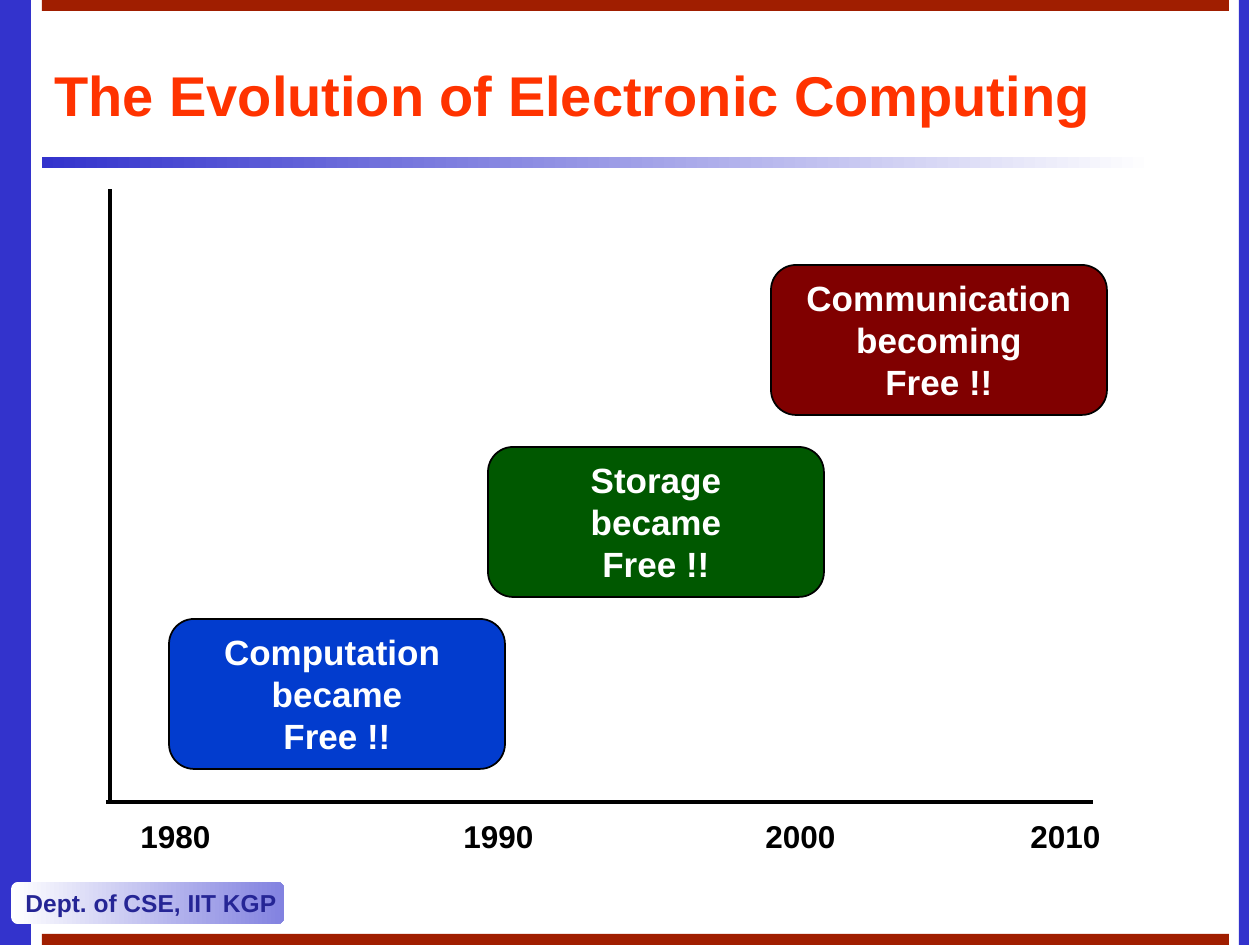
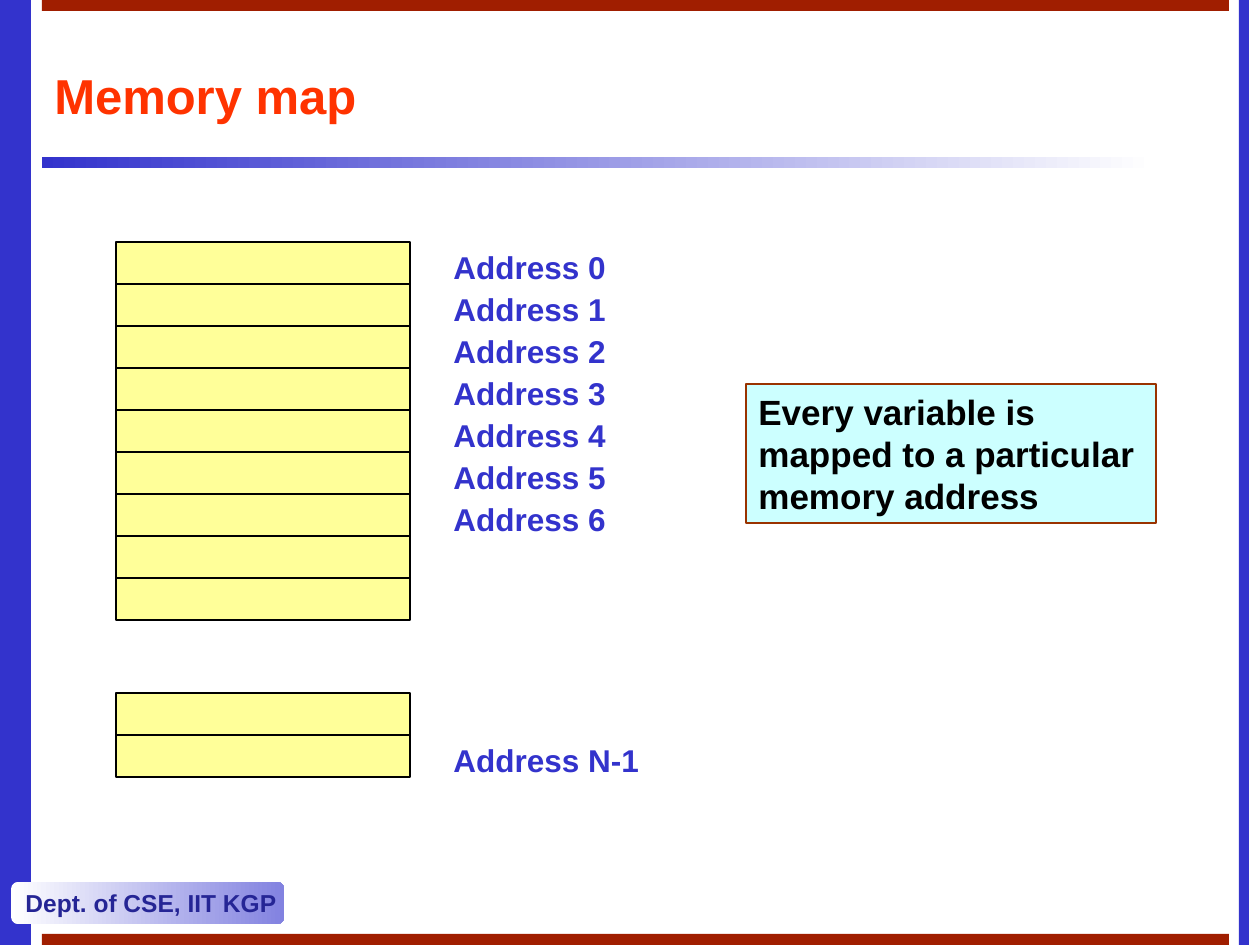
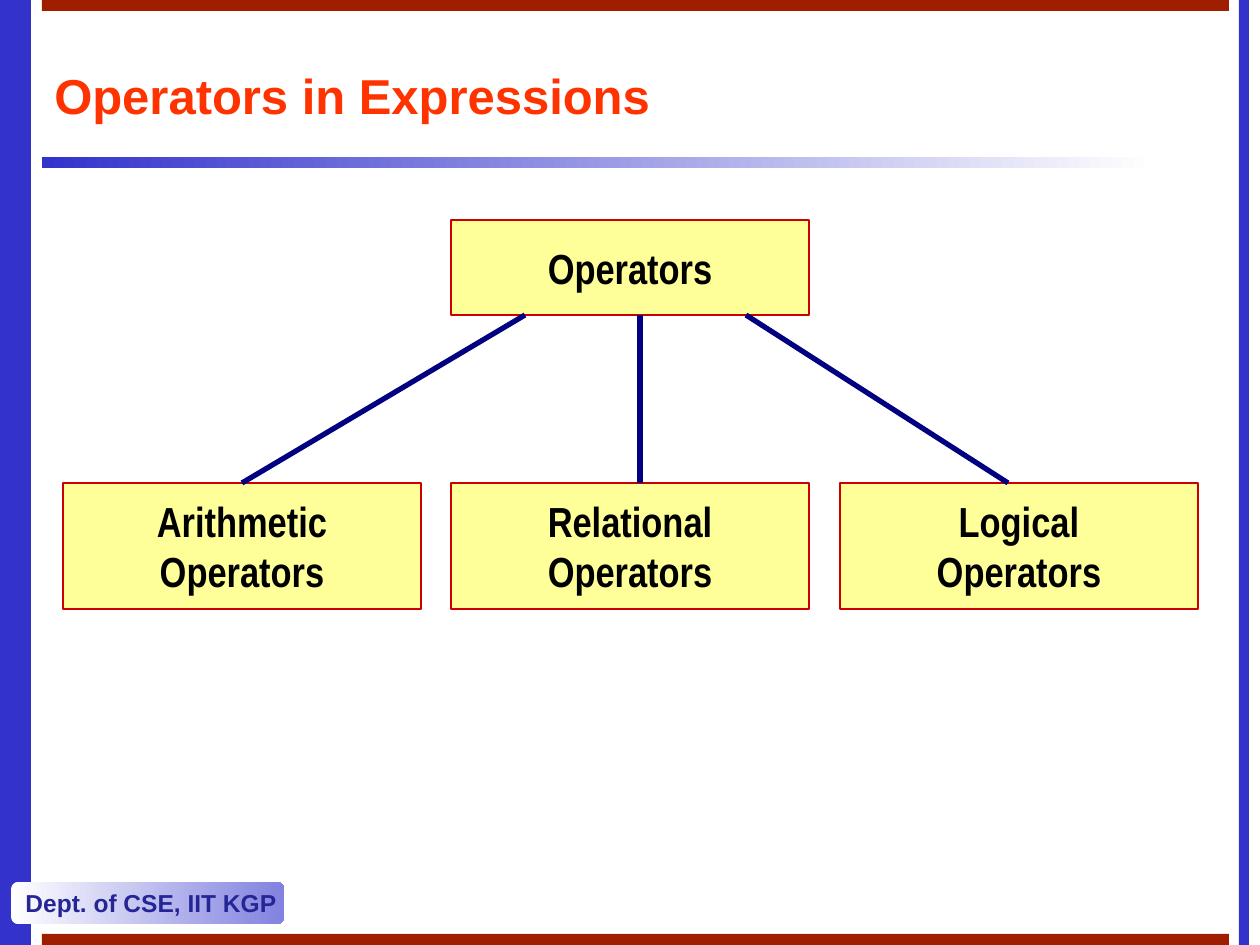
from dataclasses import dataclass

import pptx
import pptx.dml.color
import pptx.enum.shapes
import pptx.enum.text
import pptx.oxml
import pptx.util

SHAPE = pptx.enum.shapes.MSO_SHAPE
ALIGN = pptx.enum.text.PP_ALIGN
ANCHOR = pptx.enum.text.MSO_ANCHOR
PX_PER_INCH = 126
SLIDE_W, SLIDE_H = 1260, 945


@dataclass(frozen=True)
class Theme:
    font: str = "Arial"
    narrow: str = "Arial Narrow"
    # Colours
    blue: str = "3333CC"
    pale_blue: str = "8282E0"
    footer: str = "252595"
    brick: str = "A01E00"
    title: str = "FF3300"
    black: str = "000000"
    white: str = "FFFFFF"
    yellow: str = "FFFF99"
    cyan: str = "CCFFFF"
    brown: str = "993300"
    red: str = "CC0000"
    navy: str = "000080"
    computation: str = "023CCE"
    storage: str = "005800"
    communication: str = "800000"
    # Type sizes in points
    title_large: int = 32
    title_size: int = 28
    tree_size: int = 24
    body_size: int = 20
    label_size: int = 18
    footer_size: int = 14


T = Theme()


def px(n):
    return pptx.util.Emu(round(n * 914400 / PX_PER_INCH))


def rgb(color):
    return pptx.dml.color.RGBColor.from_string(color)


# Text
def set_text(sp, text, size, color, align=ALIGN.LEFT, anchor=ANCHOR.MIDDLE,
             wrap=False, font=T.font):
    tf = sp.text_frame
    tf.text = text
    tf.word_wrap = wrap
    tf.vertical_anchor = anchor
    for p in tf.paragraphs:
        p.alignment = align
        for r in p.runs:
            r.font.name = font
            r.font.size = pptx.util.Pt(size)
            r.font.bold = True
            r.font.color.rgb = rgb(color)


def add_label(s, x, y, w, h, text, size, color, anchor=ANCHOR.TOP):
    sp = s.shapes.add_textbox(px(x), px(y), px(w), px(h))
    set_text(sp, text, size, color, anchor=anchor, wrap=True)


# Shapes
def add_box(s, x, y, w, h, fill, line=None, width=1.5, kind=SHAPE.RECTANGLE):
    """Fill is one colour, or a pair for a left-to-right gradient."""
    sp = s.shapes.add_shape(kind, px(x), px(y), px(w), px(h))
    sp.shadow.inherit = False
    if isinstance(fill, tuple):
        sp.fill.gradient()
        sp.fill.gradient_angle = 0
        for stop, color in zip(sp.fill.gradient_stops, fill):
            stop.color.rgb = rgb(color)
    else:
        sp.fill.solid()
        sp.fill.fore_color.rgb = rgb(fill)
    if line:
        sp.line.color.rgb = rgb(line)
        sp.line.width = pptx.util.Pt(width)
    else:
        sp.line.fill.background()
    return sp


def add_line(s, x1, y1, x2, y2, color, width):
    line = s.shapes.add_connector(pptx.enum.shapes.MSO_CONNECTOR.STRAIGHT,
                                  px(x1), px(y1), px(x2), px(y2))
    line.line.color.rgb = rgb(color)
    line.line.width = pptx.util.Pt(width)
    sp_pr = line._element.spPr
    sp_pr.append(pptx.oxml.parse_xml(
        '<a:effectLst xmlns:a="http://schemas.openxmlformats.org/drawingml/2006/main"/>'))
    return line


# Slide frame: side bars, top and bottom bands, title with rule, footer
def add_slide(prs, title, size=T.title_size):
    s = prs.slides.add_slide(prs.slide_layouts[6])
    add_box(s, 0, 0, 31, SLIDE_H, T.blue)
    add_box(s, 1239, 0, 10, SLIDE_H, T.blue)
    for y in (0, SLIDE_H - 11):
        add_box(s, 42, y, 1187, 11, T.brick)
    add_box(s, 42, 157, 1113, 11, (T.blue, T.white))
    footer = add_box(s, 11, 882, 273, 42, (T.white, T.pale_blue),
                     kind=SHAPE.ROUNDED_RECTANGLE)
    set_text(footer, "Dept. of CSE, IIT KGP", T.footer_size, T.footer)
    add_label(s, 42, 42, 1187, 105, title, size, T.title, ANCHOR.MIDDLE)
    return s


# Slide 1
def build_evolution(prs):
    s = add_slide(prs, "The Evolution of Electronic Computing", T.title_large)
    axis_y = 802
    add_line(s, 110, 189, 110, axis_y, T.black, 2.25)
    add_line(s, 106, axis_y, 1093, axis_y, T.black, 2.25)
    for x, year in ((128, "1980"), (451, "1990"), (753, "2000"), (1018, "2010")):
        add_label(s, x, 811, 106, 50, year, T.label_size, T.black)
    eras = (
        (169, 619, T.computation, "Computation \nbecame\nFree !!"),
        (488, 447, T.storage, "Storage\nbecame\nFree !!"),
        (771, 265, T.communication, "Communication\nbecoming\nFree !!"),
    )
    for x, y, fill, text in eras:
        sp = add_box(s, x, y, 336, 150, fill, T.black, 1, SHAPE.ROUNDED_RECTANGLE)
        set_text(sp, text, T.body_size, T.white, ALIGN.CENTER)


# Slide 2
def build_memory_map(prs):
    s = add_slide(prs, "Memory map")
    cell_h = 42
    first_y, last_y = 242, 735
    cell_tops = [first_y + cell_h * i for i in range(9)] + [last_y - cell_h, last_y]
    for y in cell_tops:
        add_box(s, 116, y, 294, cell_h, T.yellow, T.black)

    addresses = [(first_y + cell_h * i, f"Address {i}") for i in range(7)]
    for y, text in addresses + [(last_y, "Address N-1")]:
        add_label(s, 441, y, 220, 50, text, T.label_size, T.blue)

    note = add_box(s, 746, 384, 410, 139, T.cyan, T.brown)
    set_text(note, "Every variable is mapped to a particular memory address",
             T.body_size, T.black, anchor=ANCHOR.TOP, wrap=True)


# Slide 3
def add_node(s, x, y, h, text):
    sp = add_box(s, x, y, 358, h, T.yellow, T.red)
    set_text(sp, text, T.tree_size, T.black, ALIGN.CENTER, font=T.narrow)
    return sp


def build_operators(prs):
    s = add_slide(prs, "Operators in Expressions")
    child_y = 483
    add_node(s, 451, 220, 95, "Operators")
    arithmetic, _, _ = [
        add_node(s, x, child_y, 126, f"{kind}\nOperators")
        for x, kind in ((63, "Arithmetic"), (451, "Relational"), (840, "Logical"))
    ]
    branches = [add_line(s, x1, child_y, x2, 315, T.navy, 3)
                for x1, x2 in ((242, 525), (640, 640), (1008, 746))]
    branches[0].begin_connect(arithmetic, 0)


def main():
    prs = pptx.Presentation()
    prs.slide_width, prs.slide_height = px(SLIDE_W), px(SLIDE_H)
    build_evolution(prs)
    build_memory_map(prs)
    build_operators(prs)
    prs.save("out.pptx")


if __name__ == "__main__":
    main()
